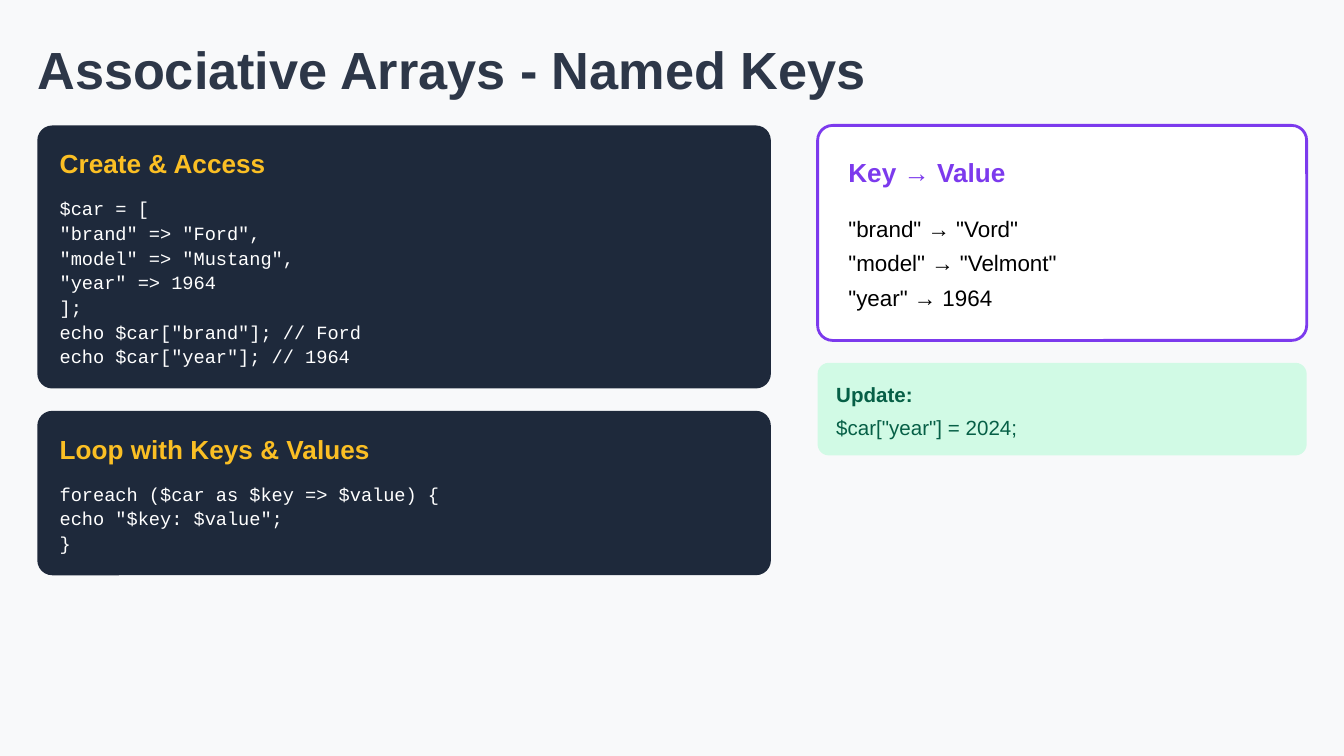
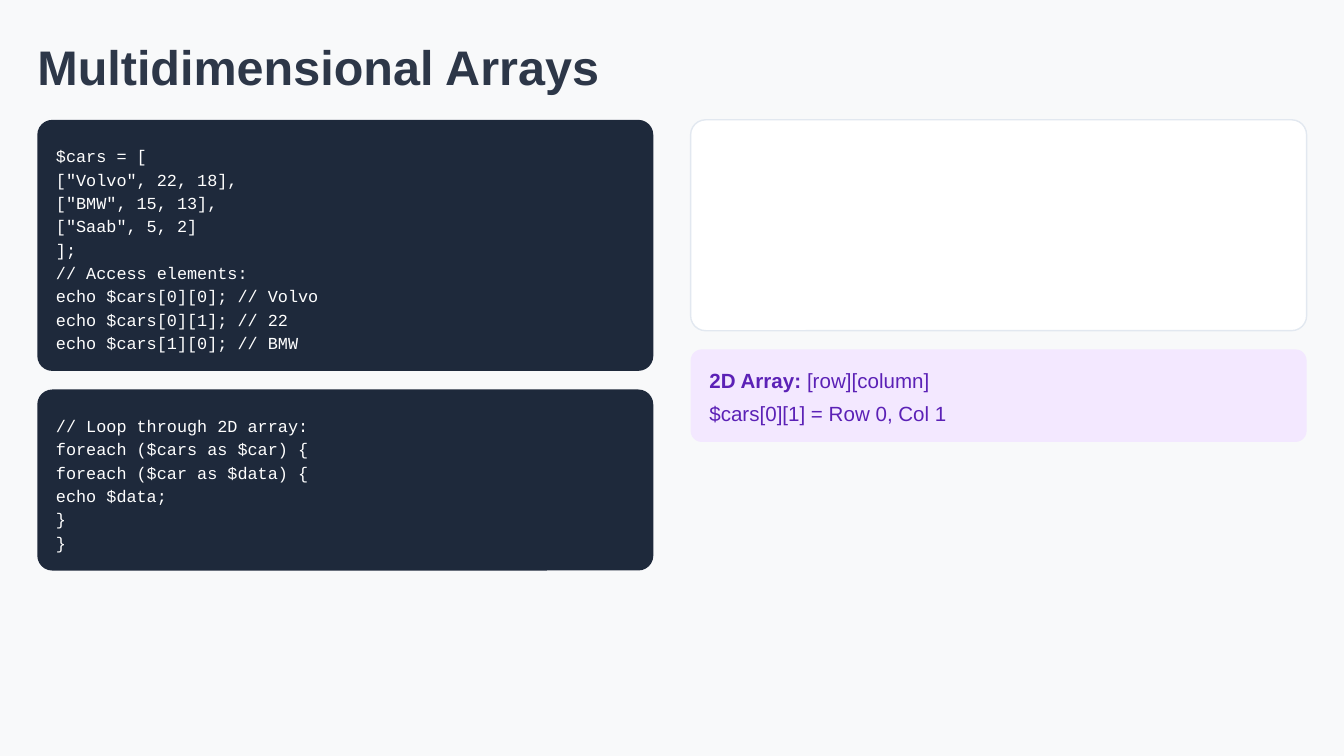
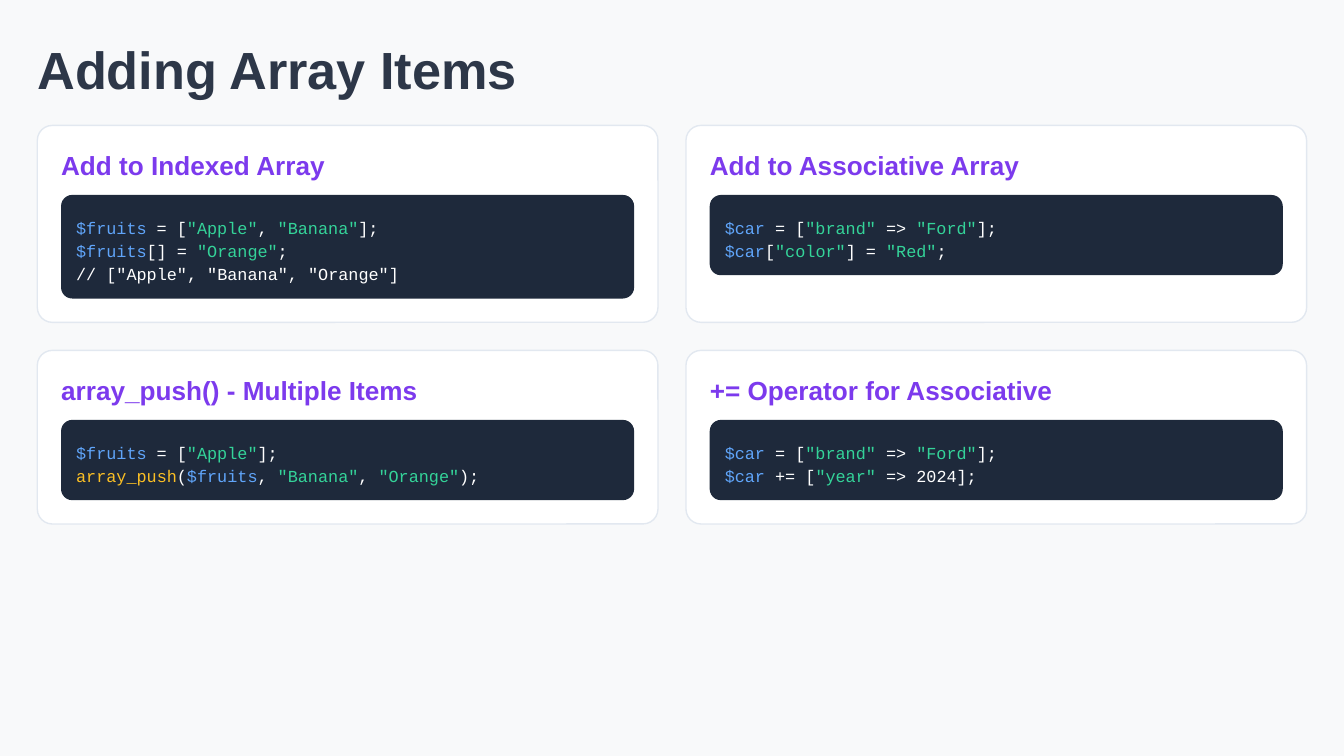
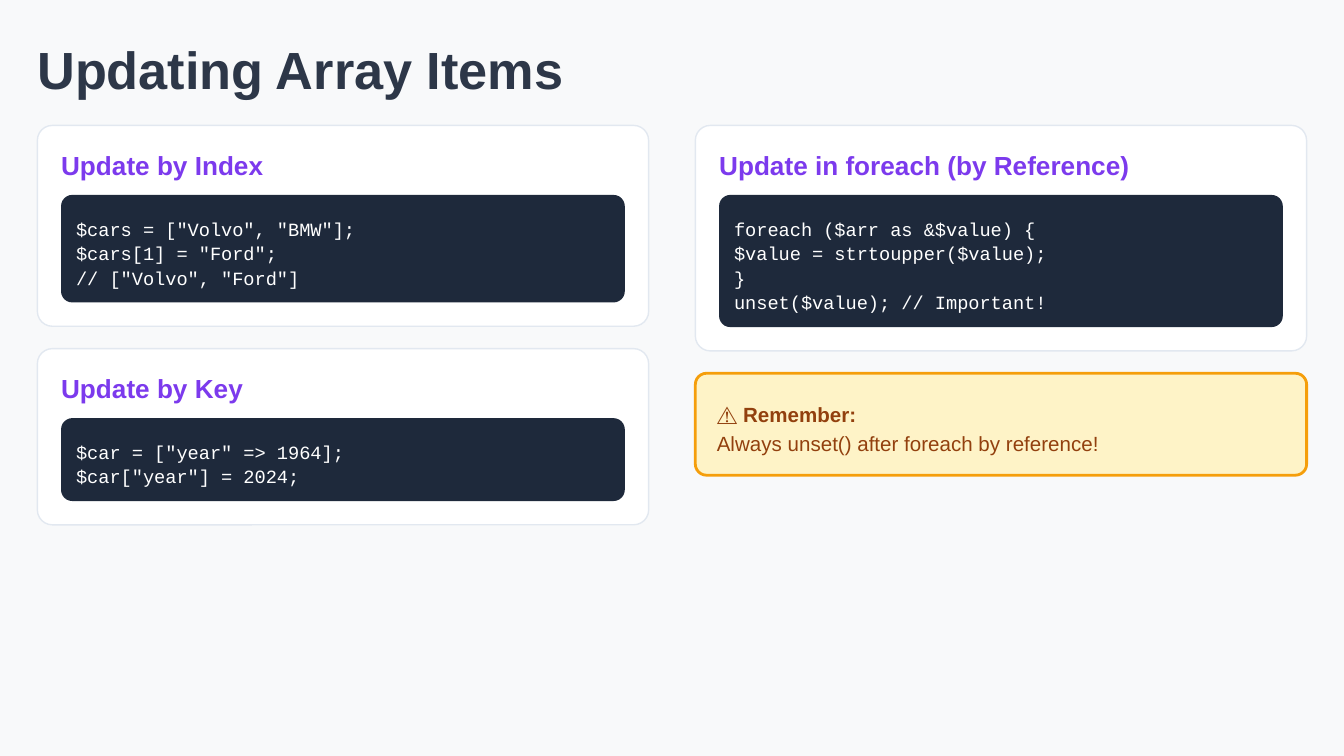
import pptx
import pptx.dml.color
import pptx.enum.shapes
import pptx.util

Pt = pptx.util.Pt

PAGE, INK, NAVY, WHITE, BLACK = "F8F9FA", "2D3748", "1E293B", "FFFFFF", "000000"
PURPLE, GOLD, BORDER = "7C3AED", "FBBF24", "E2E8F0"
VARIABLE, STRING, FUNCTION = "60A5FA", "34D399", GOLD

CREATE = ("Create & Access", [
    "$car = [", '"brand" => "Ford",', '"model" => "Mustang",', '"year" => 1964', "];",
    'echo $car["brand"]; // Ford', 'echo $car["year"]; // 1964'])
LOOP_PAIRS = ("Loop with Keys & Values", [
    "foreach ($car as $key => $value) {", 'echo "$key: $value";', "}"])
KEY_VALUES = ("Key → Value", ['"brand" → "Vord"', '"model" → "Velmont"', '"year" → 1964'])
UPDATE_NOTE = [[("Update:", True)], '$car["year"] = 2024;']

NESTED = ["$cars = [", '["Volvo", 22, 18],', '["BMW", 15, 13],', '["Saab", 5, 2]', "];",
          "// Access elements:", "echo $cars[0][0]; // Volvo", "echo $cars[0][1]; // 22",
          "echo $cars[1][0]; // BMW"]
LOOP_NESTED = ["// Loop through 2D array:", "foreach ($cars as $car) {",
               "foreach ($car as $data) {", "echo $data;", "}", "}"]
NESTED_NOTE = [[("2D Array:", True), (" [row][column]", False)], "$cars[0][1] = Row 0, Col 1"]

FRUITS, CAR = ("$fruits", VARIABLE), ("$car", VARIABLE)
APPLE, BANANA, ORANGE = ('"Apple"', STRING), ('"Banana"', STRING), ('"Orange"', STRING)
OPEN, COMMA, CLOSE = (" = [", WHITE), (", ", WHITE), ("];", WHITE)
NEW_CAR = [CAR, OPEN, ('"brand"', STRING), (" => ", WHITE), ('"Ford"', STRING), CLOSE]
ADDING = [
    [("Add to Indexed Array", [
        [FRUITS, OPEN, APPLE, COMMA, BANANA, CLOSE],
        [FRUITS, ("[] = ", WHITE), ORANGE, (";", WHITE)],
        '// ["Apple", "Banana", "Orange"]']),
     ("Add to Associative Array", [
         NEW_CAR,
         [CAR, ("[", WHITE), ('"color"', STRING), ("] = ", WHITE), ('"Red"', STRING),
          (";", WHITE)]])],
    [("array_push() - Multiple Items", [
        [FRUITS, OPEN, APPLE, CLOSE],
        [("array_push", FUNCTION), ("(", WHITE), FRUITS, COMMA, BANANA, COMMA, ORANGE,
         (");", WHITE)]]),
     ("+= Operator for Associative", [
         NEW_CAR,
         [CAR, (" += [", WHITE), ('"year"', STRING), (" => 2024];", WHITE)]])],
]

BY_INDEX = ("Update by Index", ['$cars = ["Volvo", "BMW"];', '$cars[1] = "Ford";',
                                '// ["Volvo", "Ford"]'])
BY_KEY = ("Update by Key", ['$car = ["year" => 1964];', '$car["year"] = 2024;'])
BY_REFERENCE = ("Update in foreach (by Reference)", [
    "foreach ($arr as &$value) {", "$value = strtoupper($value);", "}",
    "unset($value); // Important!"])
REMEMBER = [[("⚠️ Remember:", True)], "Always unset() after foreach by reference!"]

MARGIN, CONTENT_WIDTH = 20, 680
TEXT_SLACK = 1.02
HEADING_PITCH = 24.5
CODE_PITCH = {9: 12.5, 10: 13.2}
CARD_PADDING = 12.75


def color(value):
    return pptx.dml.color.RGBColor.from_string(value)


def columns(gap, left_share=0.5):
    left_width = (CONTENT_WIDTH - gap) * left_share
    right_width = CONTENT_WIDTH - gap - left_width
    return (MARGIN, left_width), (MARGIN + left_width + gap, right_width)


def add_box(slide, left, top, width, height, fill, radius=8, border=None, weight=0.75):
    shape = slide.shapes.add_shape(pptx.enum.shapes.MSO_SHAPE.ROUNDED_RECTANGLE,
                                   Pt(left), Pt(top), Pt(width), Pt(height))
    shape.adjustments[0] = radius / min(width, height)
    shape.shadow.inherit = False
    shape.fill.solid()
    shape.fill.fore_color.rgb = color(fill)
    if border:
        shape.line.color.rgb = color(border)
        shape.line.width = Pt(weight)
    else:
        shape.line.fill.background()


def add_text(slide, left, top, width, content, size, ink, font="Arial", bold=False, inset=0):
    box = slide.shapes.add_textbox(Pt(left), Pt(top), Pt(width * TEXT_SLACK), Pt(size * 1.15))
    frame = box.text_frame
    frame.word_wrap = True
    frame.margin_left = frame.margin_right = frame.margin_bottom = 0
    frame.margin_top = Pt(inset)
    paragraph = frame.paragraphs[0]
    paragraph.font.name, paragraph.font.size = font, Pt(size)
    paragraph.font.bold = bold
    paragraph.font.color.rgb = color(ink)
    runs = [(content, None)] if isinstance(content, str) else content
    for text, style in runs:
        run = paragraph.add_run()
        run.text = text
        if isinstance(style, bool):
            run.font.bold = style
        elif style:
            run.font.color.rgb = color(style)


def add_heading(slide, left, top, width, text, ink):
    add_text(slide, left, top, width, text, 14, ink, bold=True)


def add_code(slide, left, top, width, lines, size):
    for index, line in enumerate(lines):
        add_text(slide, left, top + index * CODE_PITCH[size], width, line, size, WHITE,
                 "Courier New", inset=2)


def add_headed_code(slide, left, top, width, card):
    heading, lines = card
    padding = 12
    height = 2 * padding + HEADING_PITCH + len(lines) * CODE_PITCH[10]
    add_box(slide, left, top, width, height, NAVY)
    inner_left, inner_width = left + padding, width - 2 * padding
    add_heading(slide, inner_left, top + padding, inner_width, heading, GOLD)
    add_code(slide, inner_left, top + padding + HEADING_PITCH, inner_width, lines, 10)
    return top + height


def add_code_panel(slide, left, top, width, lines, size, padding, radius):
    height = 2 * padding + 2 + len(lines) * CODE_PITCH[size]
    add_box(slide, left, top, width, height, NAVY, radius)
    side = padding
    add_code(slide, left + side, top + padding + 2, width - 2 * side, lines, size)
    return top + height


def card_height(line_count, size):
    return 2 * CARD_PADDING + HEADING_PITCH + 18 + line_count * CODE_PITCH[size]


def add_code_card(slide, left, top, width, card, size, height=None):
    heading, lines = card
    height = height or card_height(len(lines), size)
    add_box(slide, left, top, width, height, WHITE, border=BORDER)
    inner_left, inner_top = left + CARD_PADDING, top + CARD_PADDING
    inner_width = width - 2 * CARD_PADDING
    add_heading(slide, inner_left, inner_top, inner_width, heading, PURPLE)
    add_code_panel(slide, inner_left, inner_top + HEADING_PITCH, inner_width, lines, size, 8, 6)
    return top + height


def add_note(slide, left, top, width, lines, fill, ink, insets=(0, 3), pitch=14.7,
             height=49.6, padding=(10, 10), border=None):
    add_box(slide, left, top, width, height, fill, 6, border, 1.5)
    side, above = padding
    for index, (line, inset) in enumerate(zip(lines, insets)):
        add_text(slide, left + side, top + above + index * pitch, width - 2 * side, line, 11,
                 ink, inset=inset)


def add_slide(presentation, title, size=28):
    slide = presentation.slides.add_slide(presentation.slide_layouts[6])
    slide.background.fill.solid()
    slide.background.fill.fore_color.rgb = color(PAGE)
    add_text(slide, MARGIN, 20, CONTENT_WIDTH, title, size, INK, bold=True)
    return slide, 25.2 + 1.5 * size


def build_associative(presentation):
    slide, top = add_slide(presentation, "Associative Arrays - Named Keys")
    (left, left_width), (right, right_width) = columns(25, 0.6)
    gap, padding, key_height = 12, 16.5, 115.2
    bottom = add_headed_code(slide, left, top, left_width, CREATE)
    add_headed_code(slide, left, bottom + gap, left_width, LOOP_PAIRS)
    add_box(slide, right, top, right_width, key_height, WHITE, border=PURPLE, weight=1.5)
    heading, pairs = KEY_VALUES
    inner_width = right_width - 2 * padding
    add_heading(slide, right + padding, top + padding, inner_width, heading, PURPLE)
    for index, pair in enumerate(pairs):
        add_text(slide, right + padding, top + padding + 26.6 + index * 18.4, inner_width,
                 pair, 12, BLACK, inset=5)
    add_note(slide, right, top + key_height + gap, right_width, UPDATE_NOTE, "D1FAE5", "065F46")


def build_multidimensional(presentation):
    slide, top = add_slide(presentation, "Multidimensional Arrays", 26)
    (left, width), (right, _) = columns(20)
    gap, blank_height = 10, 113
    bottom = add_code_panel(slide, left, top, width, NESTED, 9, 10, 8)
    add_code_panel(slide, left, bottom + gap, width, LOOP_NESTED, 9, 10, 8)
    add_box(slide, right, top, width, blank_height, WHITE, border=BORDER)
    add_note(slide, right, top + blank_height + gap, width, NESTED_NOTE, "F3E8FF", "5B21B6")


def build_adding(presentation):
    slide, top = add_slide(presentation, "Adding Array Items")
    gap = 15
    for row in ADDING:
        height = card_height(max(len(lines) for _, lines in row), 9)
        for (left, width), card in zip(columns(gap), row):
            add_code_card(slide, left, top, width, card, 9, height)
        top += height + gap


def build_updating(presentation):
    slide, top = add_slide(presentation, "Updating Array Items")
    (left, width), (right, _) = columns(25)
    gap = 12
    bottom = add_code_card(slide, left, top, width, BY_INDEX, 10)
    add_code_card(slide, left, bottom + gap, width, BY_KEY, 10)
    bottom = add_code_card(slide, right, top, width, BY_REFERENCE, 10)
    add_note(slide, right, bottom + gap, width, REMEMBER, "FEF3C7", "92400E", (2, 2), 15.2,
             54.6, (11.5, 13.5), "F59E0B")


def main():
    presentation = pptx.Presentation()
    presentation.slide_width, presentation.slide_height = Pt(720), Pt(405)
    build_associative(presentation)
    build_multidimensional(presentation)
    build_adding(presentation)
    build_updating(presentation)
    presentation.save("out.pptx")


if __name__ == "__main__":
    main()
